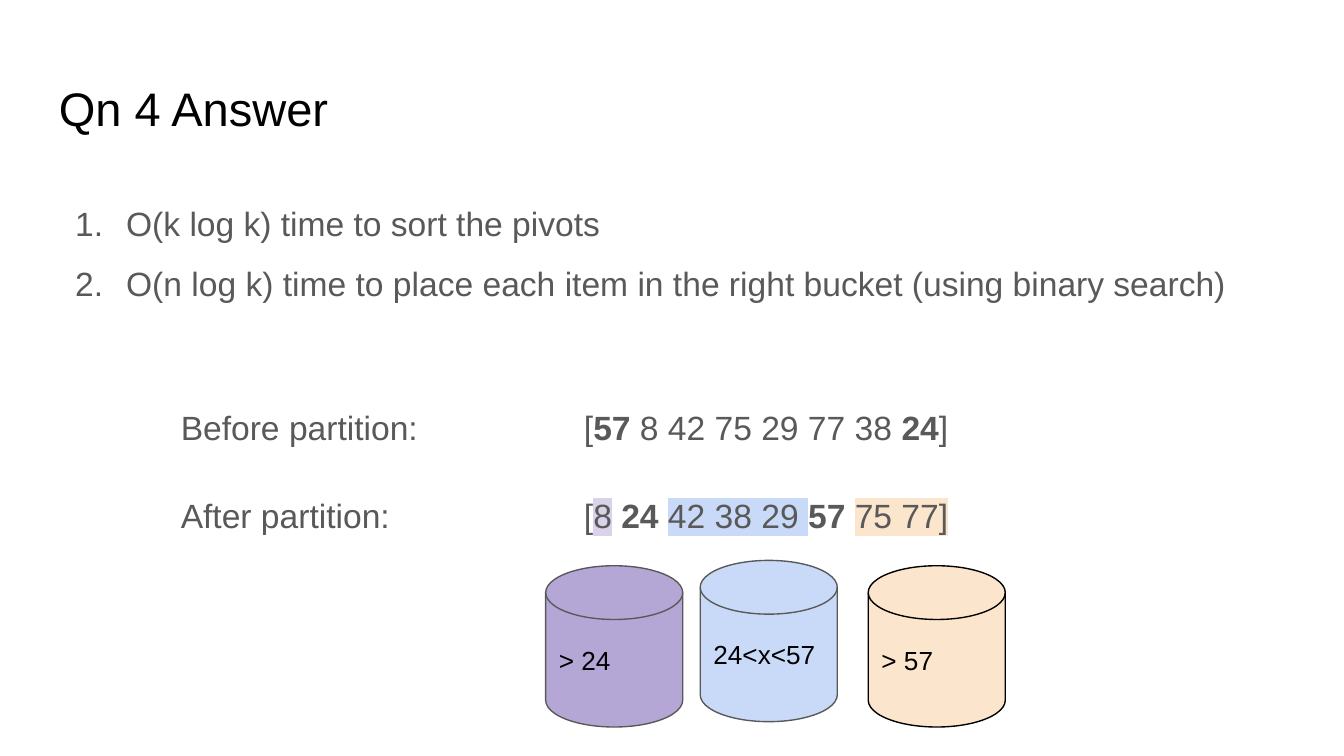
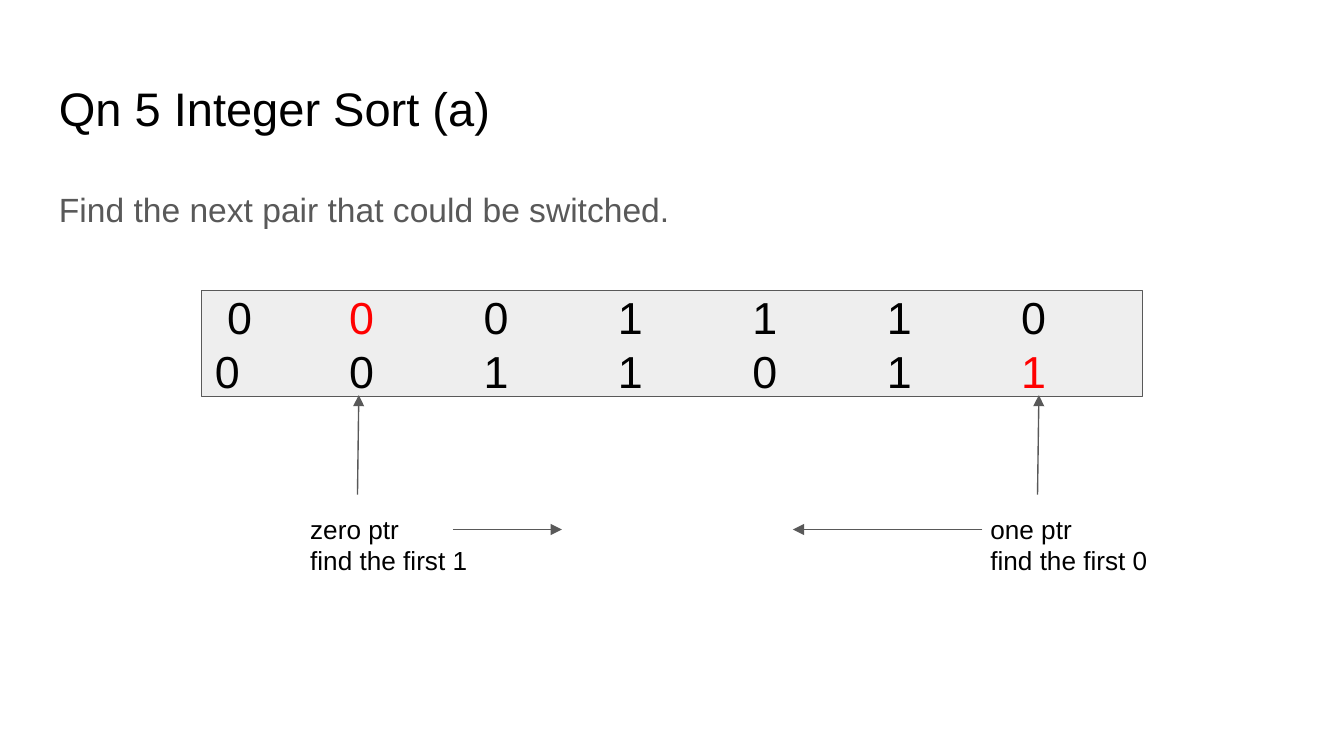
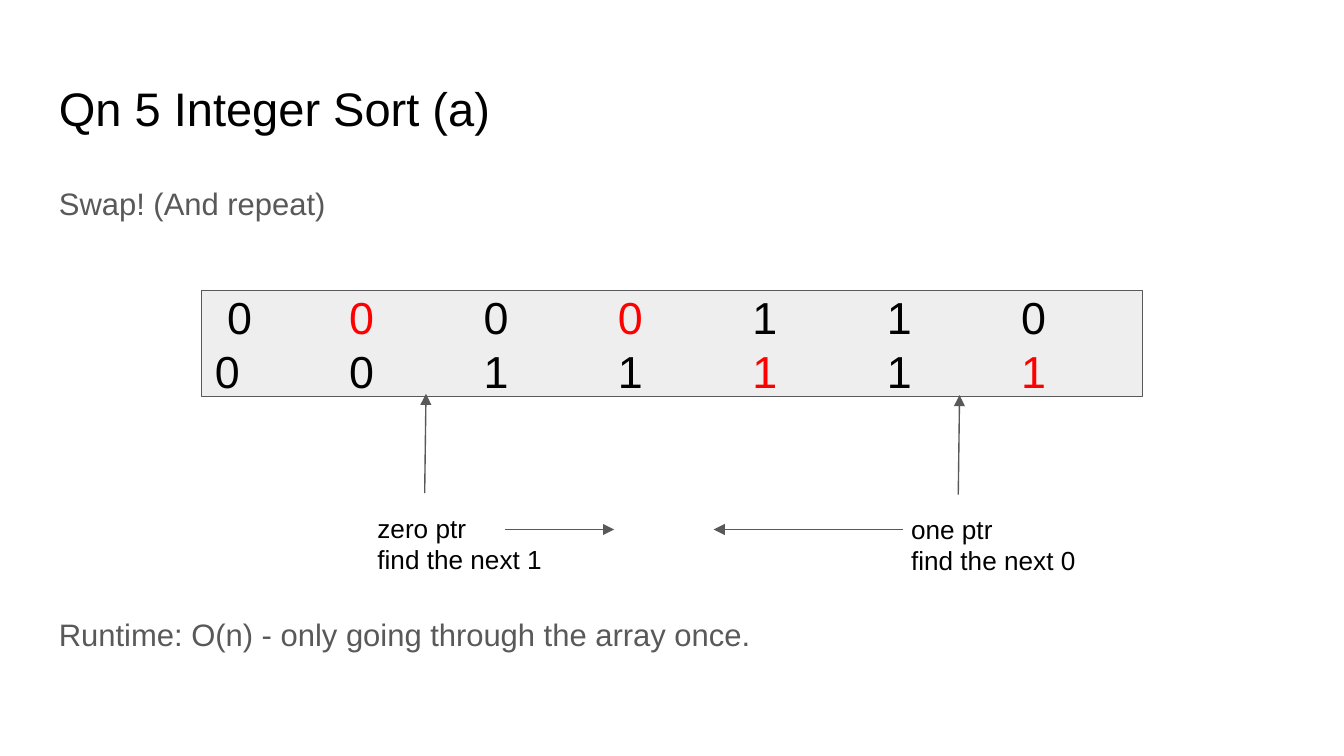
from dataclasses import dataclass

from lxml import etree
from pptx import Presentation
from pptx.dml.color import RGBColor
from pptx.enum.shapes import MSO_CONNECTOR, MSO_SHAPE
from pptx.enum.text import MSO_ANCHOR, PP_ALIGN
from pptx.oxml.ns import qn
from pptx.shapes.base import BaseShape
from pptx.slide import Slide
from pptx.text.text import TextFrame
from pptx.util import Inches, Pt

LINE = MSO_CONNECTOR.STRAIGHT
RECT = MSO_SHAPE.RECTANGLE
DISK = MSO_SHAPE.FLOWCHART_MAGNETIC_DISK
TOP, MIDDLE = MSO_ANCHOR.TOP, MSO_ANCHOR.MIDDLE
LEFT, CENTER = PP_ALIGN.LEFT, PP_ALIGN.CENTER

BLACK = RGBColor(0x00, 0x00, 0x00)
WHITE = RGBColor(0xFF, 0xFF, 0xFF)
GRAY = RGBColor(0x59, 0x59, 0x59)
PALE = RGBColor(0xEE, 0xEE, 0xEE)
RED = RGBColor(0xFF, 0x00, 0x00)
PURPLE = RGBColor(0xB4, 0xA7, 0xD6)
LILAC = RGBColor(0xD9, 0xD2, 0xE9)
BLUE = RGBColor(0xC9, 0xDA, 0xF8)
PEACH = RGBColor(0xFC, 0xE5, 0xCD)
FONT = "Arial"
TAB = Inches(1)
WIDTH = Inches(10)
HEIGHT = WIDTH * 9 // 16


@dataclass(frozen=True)
class Box:
    x: float
    y: float
    w: float
    h: float


@dataclass(frozen=True)
class Style:
    size: float
    color: RGBColor = BLACK
    lead: float = 1.0
    before: float = 0
    after: float = 0
    align: PP_ALIGN = LEFT


@dataclass(frozen=True)
class Part:
    text: str
    bold: bool = False
    color: RGBColor | None = None
    mark: RGBColor | None = None


@dataclass(frozen=True)
class Bucket:
    text: str
    x: float
    y: float
    fill: RGBColor
    edge: RGBColor = GRAY


@dataclass(frozen=True)
class Pointer:
    name: str
    goal: str
    x: float
    y: float
    width: float
    start: float  # side arrow, measured from x
    reach: float  # signed length of the side arrow


TITLE = Style(25.2)
BODY = Style(18, GRAY, 1.15)
STEP = Style(18, GRAY, 1.5)
ARRAY = Style(18, GRAY, 1.15, 12, 12, CENTER)
SWAP = Style(16.6, GRAY, 1.05)
RUNTIME = Style(16.6, GRAY, 1.05, before=210)
DIGIT = Style(24)
LABEL = Style(14)


# Text helpers
def write(frame: TextFrame, style: Style, *rows: list[Part],
          anchor: MSO_ANCHOR = TOP) -> None:
    """Fill the frame, or add to it when it already has text."""
    frame.word_wrap = True
    frame.vertical_anchor = anchor
    frame.margin_left = frame.margin_right = Inches(0.1)
    frame.margin_top = frame.margin_bottom = Inches(0.1)
    for row in rows:
        para = frame.add_paragraph() if frame.text else frame.paragraphs[0]
        para.alignment = style.align
        para.line_spacing = style.lead
        para.space_before = Pt(style.before)
        para.space_after = Pt(style.after)
        para.font.name = FONT
        para.font.size = Pt(style.size)
        para.font.color.rgb = style.color
        para._p.get_or_add_pPr().set("defTabSz", str(TAB))
        for part in row:
            run = para.add_run()
            run.text = part.text
            if part.bold:
                run.font.bold = True
            if part.color is not None:
                run.font.color.rgb = part.color
            if part.mark is not None:
                mark = etree.SubElement(run.font._element, qn("a:highlight"))
                etree.SubElement(mark, qn("a:srgbClr"), val=str(part.mark))


def number(frame: TextFrame) -> None:
    """Number the paragraphs with a hanging indent."""
    for para in frame.paragraphs:
        props = para._p.get_or_add_pPr()
        props.set("marL", str(Inches(0.5)))
        props.set("indent", str(-Inches(0.38)))
        auto = etree.Element(qn("a:buAutoNum"), type="arabicPeriod")
        props.find(qn("a:defRPr")).addprevious(auto)


def add_text(slide: Slide, box: Box, style: Style,
             *rows: list[Part]) -> TextFrame:
    shape = slide.shapes.add_textbox(
        Inches(box.x), Inches(box.y), Inches(box.w), Inches(box.h))
    write(shape.text_frame, style, *rows)
    return shape.text_frame


# Shape helpers
def add_block(slide: Slide, kind: MSO_SHAPE, box: Box, fill: RGBColor,
              edge: RGBColor, style: Style, row: list[Part]) -> BaseShape:
    shape = slide.shapes.add_shape(
        kind, Inches(box.x), Inches(box.y), Inches(box.w), Inches(box.h))
    shape.shadow.inherit = False
    shape.fill.solid()
    shape.fill.fore_color.rgb = fill
    shape.line.color.rgb = edge
    shape.line.width = Pt(0.75)
    write(shape.text_frame, style, row, anchor=MIDDLE)
    return shape


def add_arrow(slide: Slide, x1: float, y1: float, x2: float,
              y2: float) -> None:
    arrow = slide.shapes.add_connector(
        LINE, Inches(x1), Inches(y1), Inches(x2), Inches(y2))
    arrow.line.color.rgb = GRAY
    arrow.line.width = Pt(0.75)
    etree.SubElement(arrow.line._get_or_add_ln(), qn("a:tailEnd"),
                     type="triangle")
    etree.SubElement(arrow._element.spPr, qn("a:effectLst"))


def add_slide(deck: Presentation, title: str) -> Slide:
    slide = deck.slides.add_slide(deck.slide_layouts[6])
    slide.background.fill.solid()
    slide.background.fill.fore_color.rgb = WHITE
    add_text(slide, Box(0.34, 0.49, 9.32, 0.63), TITLE, [Part(title)])
    return slide


# Bit array with its two pointers
def add_bits(slide: Slide, bits: str, hot: set[int],
             ptrs: list[Pointer]) -> None:
    row = [Part(" ")]
    for spot, bit in enumerate(bits):
        if spot:
            row.append(Part("\t"))
        row.append(Part(bit, color=RED if spot in hot else None))
    add_block(slide, RECT, Box(1.5, 2.16, 7, 0.79), PALE, GRAY, DIGIT, row)
    for ptr in ptrs:
        add_arrow(slide, ptr.x + 0.45, ptr.y - 0.04,
                  ptr.x + 0.46, ptr.y - 0.78)
        add_text(slide, Box(ptr.x, ptr.y, ptr.width, 0.67), LABEL,
                 [Part(ptr.name)], [Part(ptr.goal)])
        side = ptr.x + ptr.start
        add_arrow(slide, side, 3.94, side + ptr.reach, 3.94)


def add_answer(deck: Presentation) -> None:
    slide = add_slide(deck, "Qn 4 Answer")
    steps = add_text(
        slide, Box(0.34, 1.26, 9.32, 1.39), STEP,
        [Part("O(k log k) time to sort the pivots")],
        [Part("O(n log k) time to place each item in the right bucket "
              "(using binary search)")])
    number(steps)

    # Array before and after
    add_text(slide, Box(0.82, 2.88, 6.83, 0.89), ARRAY, [
        Part("Before partition:\t\t["), Part("57", bold=True),
        Part(" 8 42 75 29 77 38 "), Part("24", bold=True), Part("] ")])
    add_text(slide, Box(0.82, 3.54, 6.83, 0.89), ARRAY, [
        Part("After partition:\t\t["), Part("8", mark=LILAC), Part(" "),
        Part("24 ", bold=True), Part("42 38 29 ", mark=BLUE),
        Part("57 ", bold=True), Part("75 77]", mark=PEACH), Part(" ")])

    # Buckets
    for can in (Bucket("> 24", 4.06, 4.21, PURPLE),
                Bucket("24<x<57", 5.21, 4.17, BLUE),
                Bucket("> 57", 6.46, 4.21, PEACH, BLACK)):
        add_block(slide, DISK, Box(can.x, can.y, 1.02, 1.2), can.fill,
                  can.edge, LABEL, [Part(can.text)])


def add_find(deck: Presentation) -> None:
    slide = add_slide(deck, "Qn 5 Integer Sort (a)")
    add_text(slide, Box(0.34, 1.26, 9.32, 2.08), BODY,
             [Part("Find the next pair that could be switched.")])
    add_bits(slide, "00011100011011", {1, 13}, [
        Pointer("one ptr", "find the first 0", 7.27, 3.72, 2.12, 0.04, -1.41),
        Pointer("zero ptr", "find the first 1", 2.21, 3.72, 1.44, 1.16, 0.81)])


def add_swap(deck: Presentation) -> None:
    slide = add_slide(deck, "Qn 5 Integer Sort (a)")
    body = add_text(slide, Box(0.34, 1.26, 9.32, 3.97), SWAP,
                    [Part("Swap! (And repeat)")])
    write(body, RUNTIME,
          [Part("Runtime: O(n) - only going through the array once.")])
    add_bits(slide, "00001100011111", {1, 3, 11, 13}, [
        Pointer("one ptr", "find the next 0", 6.68, 3.72, 2.12, 0.04, -1.41),
        Pointer("zero ptr", "find the next 1", 2.71, 3.71, 1.44, 1.05, 0.81)])


def main() -> None:
    deck = Presentation()
    deck.slide_width, deck.slide_height = WIDTH, HEIGHT
    add_answer(deck)
    add_find(deck)
    add_swap(deck)
    deck.save("out.pptx")


if __name__ == "__main__":
    main()
